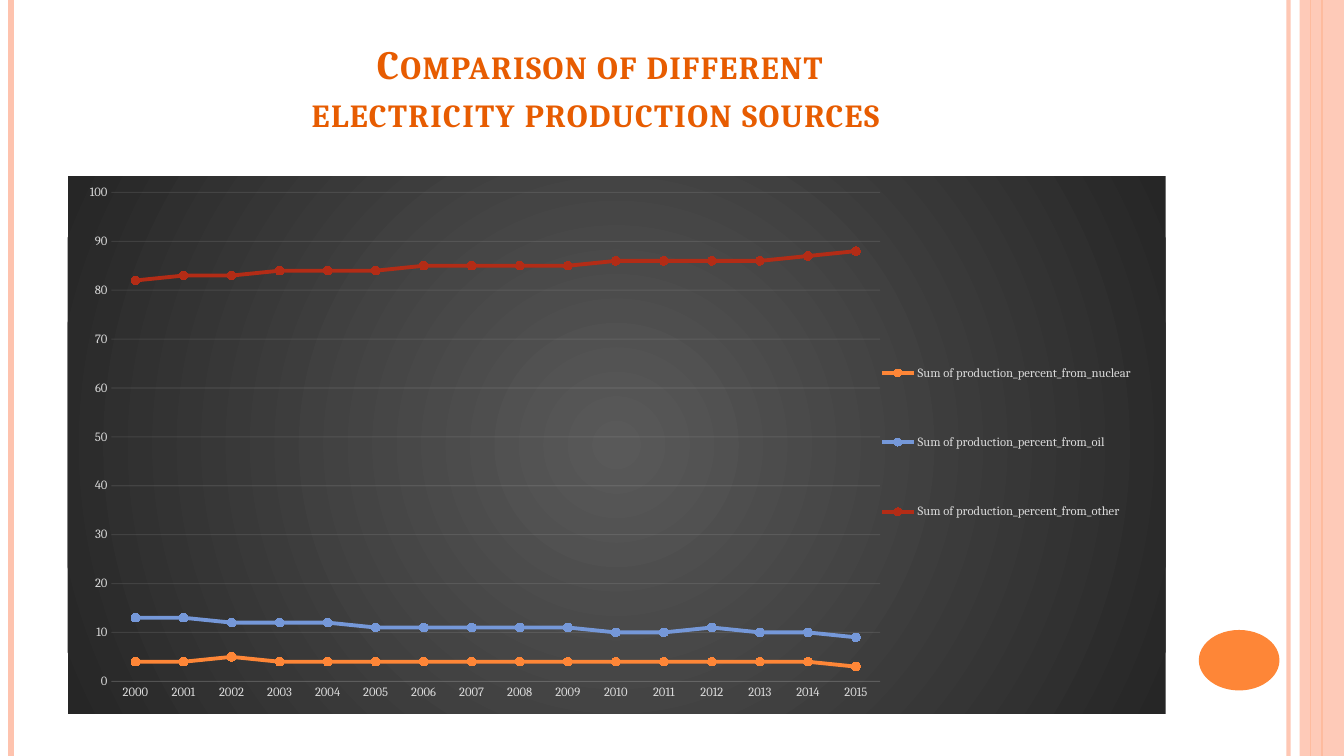
import pptx
import pptx.chart.data
import pptx.dml.color
import pptx.enum.chart
import pptx.enum.shapes
import pptx.enum.text
import pptx.oxml
import pptx.oxml.ns
import pptx.util
from pptx.util import Inches

FONT = "Cambria"
COLORS = {
    "title": "E75C01", "peach": "FEC3AE", "orange": "FE8637",
    "label": "D9D9D9", "grid": "F2F2F2", "center": "595959", "edge": "262626",
}
TITLE = "Comparison of different\velectricity production sources"
TITLE_BOX = (0.67, 0.3, 10.89, 1.25)
CHART_BOX = (0.67, 1.75, 10.89, 5.33)
YEARS = [str(year) for year in range(2000, 2016)]
SERIES = [
    ("Sum of production_percent_from_nuclear", "FE8637", "FF8636",
     (4, 4, 5, 4, 4, 4, 4, 4, 4, 4, 4, 4, 4, 4, 4, 3)),
    ("Sum of production_percent_from_oil", "7598D9", "7096DE",
     (13, 13, 12, 12, 12, 11, 11, 11, 11, 11, 10, 10, 11, 10, 10, 9)),
    ("Sum of production_percent_from_other", "B32C16", "BB260E",
     (82, 83, 83, 84, 84, 84, 85, 85, 85, 85, 86, 86, 86, 86, 87, 88)),
]
LINES = [
    (12.78, "peach", 3, 93), (0.11, "peach", 4.5, 100),
    (13.11, "orange", 1.5, 100), (13, "orange", 0.75, 100),
]
SHAPES = [
    ("RECTANGLE", (12.89, 0, 0.44, 7.5), "peach", 87),
    ("OVAL", (11.89, 6.25, 0.8, 0.6), "orange", 100),
]
PLOT_LAYOUT = {"x": 0.04, "y": 0.03, "w": 0.7, "h": 0.91}
LEGEND_LAYOUT = {"x": 0.73, "y": 0.25, "w": 0.25, "h": 0.49}


def rgb(value):
    return pptx.dml.color.RGBColor.from_string(value)


def inches(box):
    return [Inches(length) for length in box]


def apply(target, values):
    for name, value in values.items():
        setattr(target, name, value)


def set_alpha(fill, percent):
    if percent < 100:
        color = fill._xPr.find(".//" + pptx.oxml.ns.qn("a:srgbClr"))
        alpha = pptx.oxml.parse_xml(
            f'<a:alpha {pptx.oxml.ns.nsdecls("a")} val="{percent * 1000}"/>')
        color.append(alpha)


def format_line(line, color, width, percent=100):
    line.fill.solid()
    line.fill.fore_color.rgb = rgb(color)
    line.width = pptx.util.Pt(width)
    set_alpha(line.fill, percent)


def format_font(font, size, color):
    apply(font, {"name": FONT, "size": pptx.util.Pt(size)})
    font.color.rgb = rgb(color)


def manual_layout(values, inner=False):
    target = '<c:layoutTarget val="inner"/>' if inner else ""
    modes = "".join(f'<c:{key}Mode val="edge"/>' for key in "xy")
    places = "".join(f'<c:{key} val="{value}"/>' for key, value in values.items())
    return pptx.oxml.parse_xml(
        f'<c:layout {pptx.oxml.ns.nsdecls("c")}><c:manualLayout>'
        f'{target}{modes}{places}</c:manualLayout></c:layout>')


def remove_layout(parent):
    for layout in parent.findall(pptx.oxml.ns.qn("c:layout")):
        parent.remove(layout)


def add_side_bands(slide):
    for x, color, width, percent in LINES:
        connector = slide.shapes.add_connector(
            pptx.enum.shapes.MSO_CONNECTOR.STRAIGHT, *inches((x, 0, x, 7.5)))
        format_line(connector.line, COLORS[color], width, percent)
        connector._element.spPr.append(pptx.oxml.parse_xml(
            f'<a:effectLst {pptx.oxml.ns.nsdecls("a")}/>'))
    for kind, box, color, percent in SHAPES:
        shape = slide.shapes.add_shape(
            getattr(pptx.enum.shapes.MSO_SHAPE, kind), *inches(box))
        shape.shadow.inherit = False
        shape.fill.solid()
        shape.fill.fore_color.rgb = rgb(COLORS[color])
        set_alpha(shape.fill, percent)
        shape.line.fill.background()


def add_title(slide):
    title = slide.shapes.title
    apply(title, dict(zip(("left", "top", "width", "height"), inches(TITLE_BOX))))
    frame = title.text_frame
    frame.text = TITLE
    apply(frame, {
        "word_wrap": True, "auto_size": pptx.enum.text.MSO_AUTO_SIZE.NONE,
        "vertical_anchor": pptx.enum.text.MSO_ANCHOR.BOTTOM,
        "margin_bottom": Inches(0.2),
    })
    paragraph = frame.paragraphs[0]
    apply(paragraph, {"alignment": pptx.enum.text.PP_ALIGN.CENTER})
    for run in paragraph.runs:
        format_font(run.font, 28.8, COLORS["title"])
        run.font.bold = True
        properties = run._r.get_or_add_rPr()
        properties.set("cap", "small")
        properties.set("spc", "100")


def add_chart(slide):
    data = pptx.chart.data.CategoryChartData()
    data.categories = YEARS
    for name, color, marker_color, values in SERIES:
        data.add_series(name, values)
    chart = slide.shapes.add_chart(
        pptx.enum.chart.XL_CHART_TYPE.LINE_MARKERS, *inches(CHART_BOX), data).chart
    apply(chart, {"has_title": False, "has_legend": True})
    format_font(chart.font, 10, "000000")
    chart.plots[0].vary_by_categories = False

    for series, (name, color, marker_color, values) in zip(chart.plots[0].series, SERIES):
        series.smooth = False
        format_line(series.format.line, color, 2.75)
        apply(series.marker, {
            "style": pptx.enum.chart.XL_MARKER_STYLE.CIRCLE, "size": 6})
        series.marker.format.fill.solid()
        series.marker.format.fill.fore_color.rgb = rgb(marker_color)
        format_line(series.marker.format.line, marker_color, 0.75)

    for axis in (chart.category_axis, chart.value_axis):
        apply(axis, {
            "major_tick_mark": pptx.enum.chart.XL_TICK_MARK.NONE,
            "minor_tick_mark": pptx.enum.chart.XL_TICK_MARK.NONE,
        })
        format_font(axis.tick_labels.font, 9, COLORS["label"])
    apply(chart.value_axis, {
        "minimum_scale": 0, "maximum_scale": 100, "major_unit": 10,
        "has_major_gridlines": True})
    chart.value_axis.format.line.fill.background()
    for line in (chart.category_axis.format.line,
                 chart.value_axis.major_gridlines.format.line):
        format_line(line, COLORS["grid"], 0.75, 10)

    apply(chart.legend, {
        "position": pptx.enum.chart.XL_LEGEND_POSITION.RIGHT,
        "include_in_layout": False})
    format_font(chart.legend.font, 9, COLORS["label"])

    space = chart._chartSpace
    plot_area = space.find(".//" + pptx.oxml.ns.qn("c:plotArea"))
    remove_layout(plot_area)
    plot_area.insert(0, manual_layout(PLOT_LAYOUT, True))
    legend = space.find(".//" + pptx.oxml.ns.qn("c:legend"))
    remove_layout(legend)
    legend.find(pptx.oxml.ns.qn("c:legendPos")).addnext(manual_layout(LEGEND_LAYOUT))
    stops = "".join(
        f'<a:gs pos="{position}"><a:srgbClr val="{COLORS[name]}"/></a:gs>'
        for position, name in ((0, "center"), (100000, "edge")))
    space.find(pptx.oxml.ns.qn("c:chart")).addnext(pptx.oxml.parse_xml(
        f'<c:spPr {pptx.oxml.ns.nsdecls("c", "a")}><a:gradFill><a:gsLst>{stops}</a:gsLst>'
        '<a:path path="circle"><a:fillToRect l="50000" t="50000" r="50000" b="50000"/>'
        '</a:path></a:gradFill><a:ln><a:noFill/></a:ln></c:spPr>'))


def main():
    presentation = pptx.Presentation()
    apply(presentation, {"slide_width": Inches(13.33), "slide_height": Inches(7.5)})
    slide = presentation.slides.add_slide(presentation.slide_layouts[5])
    add_side_bands(slide)
    add_title(slide)
    add_chart(slide)
    presentation.save("out.pptx")


if __name__ == "__main__":
    main()
